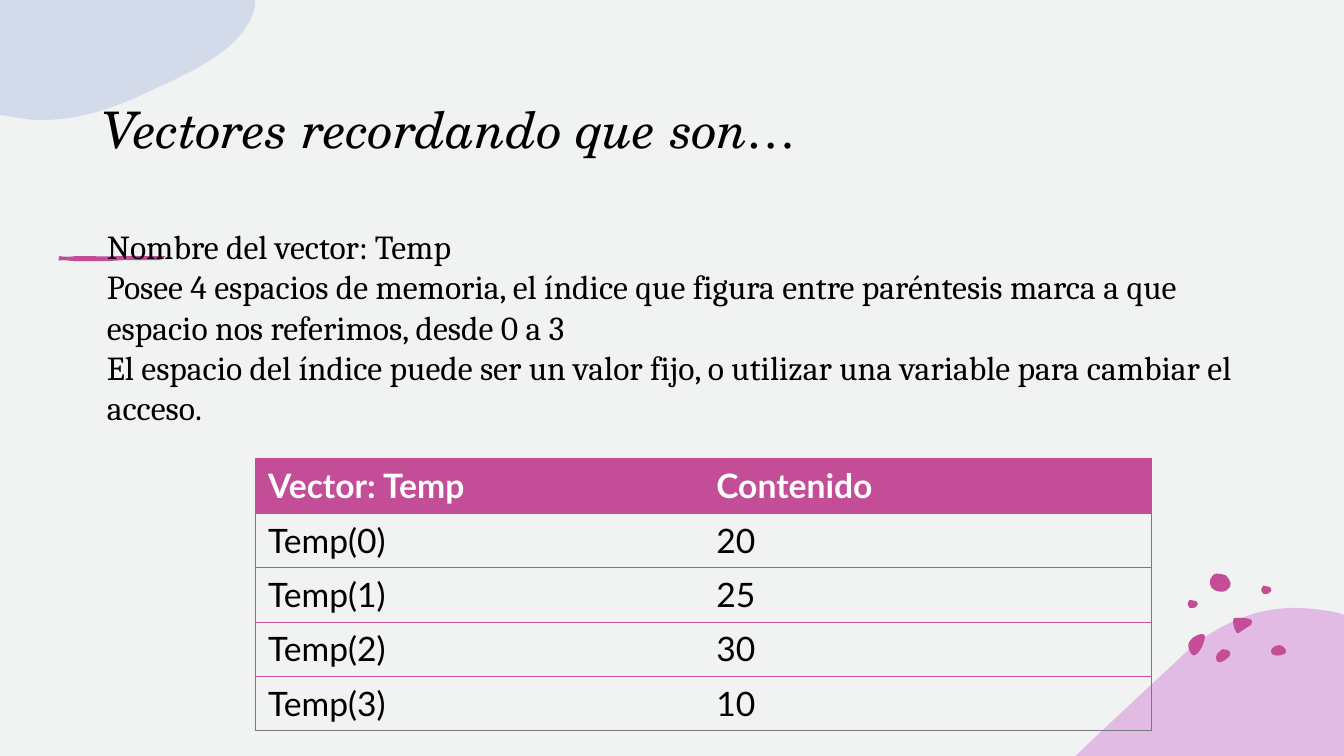
from lxml import etree
from pptx import Presentation
from pptx import util as u
from pptx.dml.color import RGBColor
from pptx.enum import text
from pptx.oxml.ns import qn

PINK, GREY, BLACK, WHITE = "C34D96", "7A7A7A", "000000", "FFFFFF"

# Outlines in inches: a start point, then steps of 2 numbers (line) or 6 (curve)
LILAC_HILL = [(12.88, 6.03), (13.01, 6.04, 13.14, 6.05, 13.27, 6.08), (13.33, 6.1),
              (13.33, 7.5), (10.67, 7.5), (10.68, 7.49),
              (11.02, 7.16, 11.37, 6.84, 11.69, 6.54),
              (11.91, 6.32, 12.14, 6.19, 12.37, 6.11),
              (12.54, 6.05, 12.71, 6.03, 12.88, 6.03)]
BLUE_CORNER = [(0, 0), (2.53, 0), (2.53, 0.06), (2.45, 0.44, 2, 0.67, 1.58, 0.86),
               (1.23, 1.03, 0.86, 1.19, 0.41, 1.19),
               (0.31, 1.19, 0.22, 1.18, 0.13, 1.16), (0, 1.14)]
SPOTS = [
    [(12.13, 6.44), (12.15, 6.44, 12.16, 6.44, 12.18, 6.45),
     (12.2, 6.46, 12.21, 6.48, 12.2, 6.5), (12.18, 6.53, 12.12, 6.58, 12.08, 6.57),
     (12.07, 6.56, 12.06, 6.54, 12.06, 6.52), (12.06, 6.5, 12.08, 6.47, 12.1, 6.46),
     (12.11, 6.45, 12.12, 6.44, 12.13, 6.44)],
    [(11.91, 6.29), (11.93, 6.29, 11.95, 6.29, 11.95, 6.31),
     (11.95, 6.32, 11.95, 6.32, 11.95, 6.33), (11.94, 6.38, 11.92, 6.43, 11.89, 6.47),
     (11.87, 6.49, 11.84, 6.52, 11.82, 6.49), (11.79, 6.46, 11.78, 6.41, 11.79, 6.38),
     (11.8, 6.35, 11.82, 6.34, 11.84, 6.32), (11.85, 6.32, 11.88, 6.29, 11.91, 6.29)],
    [(12.69, 6.4), (12.71, 6.4, 12.74, 6.42, 12.75, 6.44),
     (12.76, 6.46, 12.76, 6.48, 12.73, 6.49), (12.7, 6.51, 12.62, 6.51, 12.61, 6.48),
     (12.6, 6.46, 12.61, 6.44, 12.62, 6.43), (12.64, 6.41, 12.66, 6.4, 12.69, 6.4)],
    [(12.01, 5.81), (12, 5.81, 11.99, 5.75, 12.02, 5.72),
     (12.04, 5.7, 12.04, 5.69, 12.07, 5.69), (12.1, 5.69, 12.14, 5.7, 12.16, 5.71),
     (12.18, 5.73, 12.22, 5.78, 12.2, 5.82), (12.17, 5.85, 12.16, 5.87, 12.12, 5.87),
     (12.09, 5.87, 12.04, 5.86, 12.03, 5.84), (12.01, 5.83, 12.01, 5.82, 12.01, 5.81)],
    [(12.28, 6.13), (12.34, 6.13, 12.45, 6.13, 12.41, 6.19),
     (12.41, 6.2, 12.4, 6.21, 12.39, 6.21), (12.36, 6.23, 12.33, 6.25, 12.3, 6.27),
     (12.29, 6.28, 12.28, 6.29, 12.27, 6.28), (12.27, 6.28, 12.26, 6.27, 12.26, 6.27),
     (12.24, 6.23, 12.23, 6.2, 12.23, 6.16), (12.23, 6.15, 12.23, 6.14, 12.24, 6.13)],
]
# The two smallest spots share one outline
SMALL_SPOT = [(0, 0.05), (0, 0.05, 0, 0.01, 0.02, 0), (0.04, 0, 0.05, 0, 0.07, 0.01),
              (0.08, 0.01, 0.1, 0.02, 0.1, 0.04), (0.1, 0.05, 0.09, 0.07, 0.08, 0.07),
              (0.08, 0.07, 0.08, 0.08, 0.06, 0.08), (0.05, 0.08, 0.03, 0.09, 0.02, 0.08)]
SMALL_SPOT_PLACES = [(12.51, 5.81), (11.78, 5.95)]
BRUSH_STROKE = [(0.59, 2.54), (0.64, 2.55, 0.7, 2.55, 0.75, 2.54), (0.88, 2.54),
                (0.94, 2.54, 1.06, 2.55, 1.11, 2.54), (1.64, 2.54),
                (1.61, 2.55, 1.63, 2.58, 1.57, 2.58), (1.24, 2.58), (1.07, 2.59),
                (0.86, 2.59), (0.75, 2.59), (0.71, 2.59, 0.65, 2.58, 0.6, 2.58),
                (0.57, 2.59, 0.58, 2.55, 0.59, 2.54)]
# Loose bristle marks at the ends of the stroke
BRISTLE = [(0, 0), (0.01, 0), (0.01, 0.01)]
BRISTLE_PLACES = [(0.58, 2.58), (0.6, 2.58), (1.63, 2.54)]

ROWS = [("Vector: Temp", "Contenido"), ("Temp(0)", "20"), ("Temp(1)", "25"),
        ("Temp(2)", "30"), ("Temp(3)", "10")]


def color(value):
    return RGBColor.from_string(value)


def bend(blob, steps, left, top):
    """Replace the straight segments of curved steps by cubic curves."""
    segments = list(blob._element.iter(qn("a:lnTo")))
    for segment, step in zip(segments, steps[1:]):
        if len(step) == 2:
            continue
        curve = etree.Element(qn("a:cubicBezTo"))
        for x, y in zip(step[::2], step[1::2]):
            etree.SubElement(curve, qn("a:pt"),
                             x=str(u.Inches(left + x) - blob.left),
                             y=str(u.Inches(top + y) - blob.top))
        segment.getparent().replace(segment, curve)


def add_blob(page, steps, fill, left=0, top=0, opacity=100):
    points = [(u.Inches(left + step[-2]), u.Inches(top + step[-1])) for step in steps]
    builder = page.shapes.build_freeform(*points[0])
    builder.add_line_segments(points[1:], close=True)
    blob = builder.convert_to_shape()
    bend(blob, steps, left, top)
    blob.shadow.inherit = False
    blob.fill.solid()
    blob.fill.fore_color.rgb = color(fill)
    blob.line.fill.background()
    if opacity < 100:
        tint = next(blob._element.spPr.iter(qn("a:srgbClr")))
        etree.SubElement(tint, qn("a:alpha"), val=str(opacity * 1000))


def set_margins(target):
    target.margin_left = target.margin_right = u.Inches(0.13)
    target.margin_top = target.margin_bottom = u.Inches(0.07)


def style(para, font, size, ink=BLACK, bold=False, italic=False):
    para.font.name = font
    para.font.size = u.Pt(size)
    para.font.color.rgb = color(ink)
    para.font.bold = bold
    para.font.italic = italic


def add_text(page, place, lines, font, size, italic=False, anchor=text.MSO_ANCHOR.TOP):
    frame = page.shapes.add_textbox(*map(u.Inches, place)).text_frame
    frame.word_wrap = True
    frame.vertical_anchor = anchor
    set_margins(frame)
    for i, line in enumerate(lines):
        para = frame.add_paragraph() if i else frame.paragraphs[0]
        para.text = line
        style(para, font, size, italic=italic)


def set_border(cell, side, ink):
    edge = etree.SubElement(cell._tc.get_or_add_tcPr(), qn("a:ln" + side),
                            w=str(u.Pt(0.5)))
    if ink is None:
        etree.SubElement(edge, qn("a:noFill"))
    else:
        fill = etree.SubElement(edge, qn("a:solidFill"))
        etree.SubElement(fill, qn("a:srgbClr"), val=ink)


def add_vector_table(page):
    place = map(u.Inches, (2.53, 4.55, 8.89, 2.7))
    table = page.shapes.add_table(len(ROWS), 2, *place).table
    table.horz_banding = False
    # Line colours from the top edge down to the bottom edge
    rules = [PINK, PINK, GREY, PINK, PINK, GREY]
    for r, row in enumerate(ROWS):
        header = r == 0
        side_ink = PINK if header else GREY
        for c, value in enumerate(row):
            cell = table.cell(r, c)
            set_border(cell, "L", side_ink if c == 0 else None)
            set_border(cell, "R", side_ink if c == 1 else None)
            set_border(cell, "T", rules[r])
            set_border(cell, "B", rules[r + 1])
            if header:
                cell.fill.solid()
                cell.fill.fore_color.rgb = color(PINK)
            else:
                cell.fill.background()
            set_margins(cell)
            cell.text = value
            style(cell.text_frame.paragraphs[0], "Lato", 24,
                  WHITE if header else BLACK, bold=header)


def main():
    deck = Presentation()
    deck.slide_width, deck.slide_height = u.Inches(13.33), u.Inches(7.5)
    page = deck.slides.add_slide(deck.slide_layouts[6])
    page.background.fill.solid()
    page.background.fill.fore_color.rgb = color("F0F3F1")

    # Decoration
    add_blob(page, LILAC_HILL, "D384D6", opacity=50)
    for spot in SPOTS:
        add_blob(page, spot, PINK)
    for place in SMALL_SPOT_PLACES:
        add_blob(page, SMALL_SPOT, PINK, *place)
    add_blob(page, BLUE_CORNER, "B8C5E7", opacity=50)
    for place in BRISTLE_PLACES:
        add_blob(page, BRISTLE, PINK, *place)
    add_blob(page, BRUSH_STROKE, PINK)

    # Title and explanation
    add_text(page, (0.89, 0.17, 11.89, 1.47), ["Vectores recordando que son…"],
             "TeX Gyre Schola", 36, italic=True, anchor=text.MSO_ANCHOR.BOTTOM)
    add_text(page, (0.93, 2.17, 11.44, 2.15), [
        "Nombre del vector: Temp\vPosee 4 espacios de memoria, el índice que figura "
        "entre paréntesis marca a que espacio nos referimos, desde 0 a 3",
        "El espacio del índice puede ser un valor fijo, o utilizar una variable "
        "para cambiar el acceso."], "Cambria", 24)

    # Vector contents
    add_vector_table(page)
    deck.save("out.pptx")


if __name__ == "__main__":
    main()
